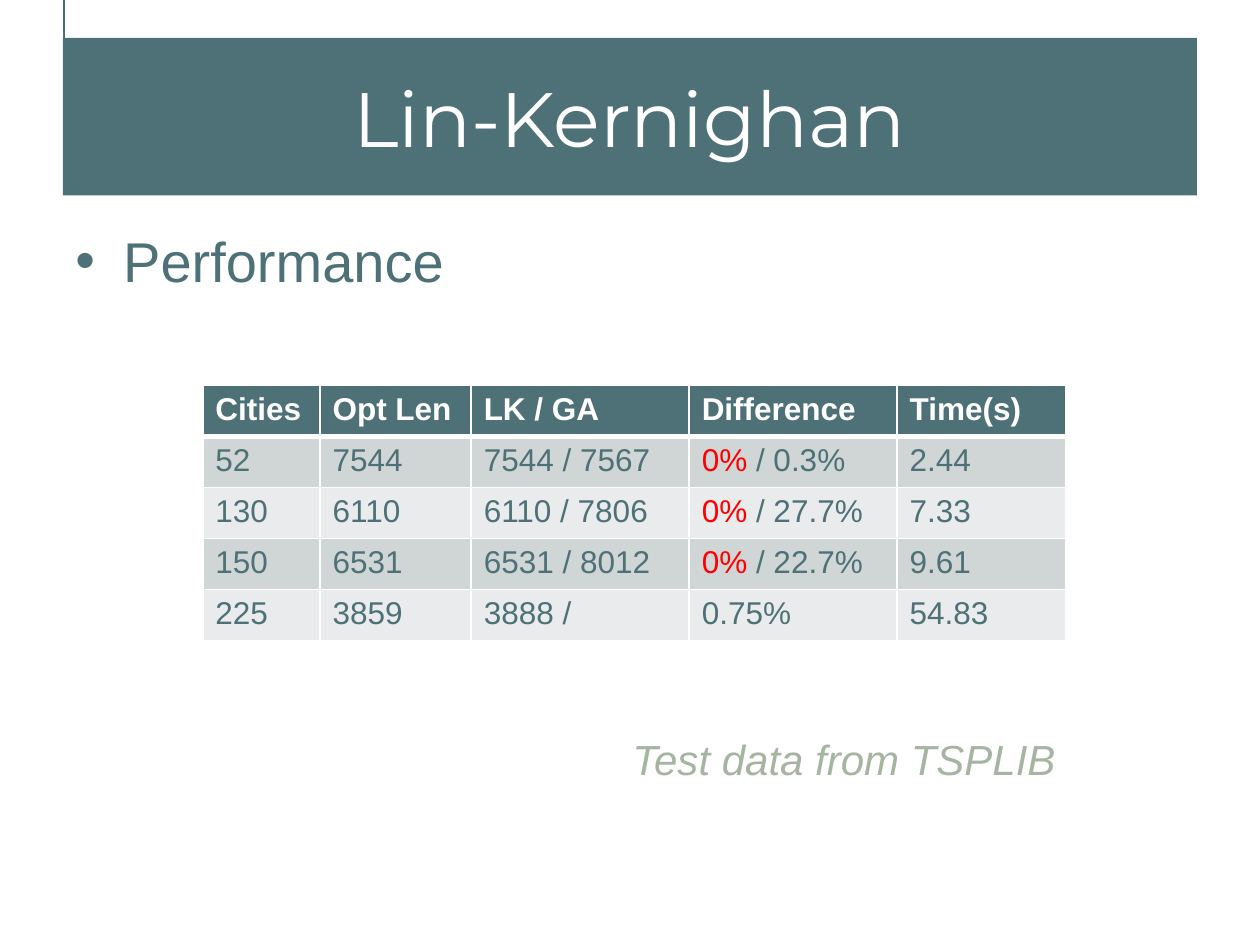
from lxml.etree import SubElement
from pptx import Presentation
from pptx.dml.color import RGBColor
from pptx.enum.shapes import MSO_CONNECTOR, MSO_SHAPE
from pptx.enum.text import MSO_ANCHOR, PP_ALIGN
from pptx.oxml.ns import qn
from pptx.util import Inches, Pt

TEAL = RGBColor(0x4E, 0x71, 0x78)
WHITE = RGBColor(0xFF, 0xFF, 0xFF)
RED = RGBColor(0xFF, 0x00, 0x00)
SAGE = RGBColor(0xA6, 0xB5, 0xA1)
BANDS = [RGBColor(0xD0, 0xD5, 0xD6), RGBColor(0xE9, 0xEB, 0xEC)]

TITLE = "Lin-Kernighan"
BULLET = "Performance"
SOURCE_NOTE = "Test data from TSPLIB"
HEADER = ["Cities", "Opt Len", "LK / GA", "Difference", "Time(s)"]
RESULTS = [
    ["52", "7544", "7544 / 7567", ("0% ", "/ 0.3%"), "2.44"],
    ["130", "6110", "6110 / 7806", ("0% ", "/ 27.7%"), "7.33"],
    ["150", "6531", "6531 / 8012", ("0% ", "/ 22.7%"), "9.61"],
    ["225", "3859", "3888 /", "0.75%", "54.83"],
]
COLUMN_WIDTHS = [0.93, 1.2, 1.73, 1.65, 1.34]
ROW_HEIGHT = 0.405


def add_text(paragraph, text, size=18, color=TEAL, font="Arial", bold=False, italic=False):
    run = paragraph.add_run()
    run.text = text
    run.font.name = font
    run.font.size = Pt(size)
    run.font.color.rgb = color
    run.font.bold = bold
    run.font.italic = italic


def add_text_box(slide, left, top, width, height):
    frame = slide.shapes.add_textbox(
        Inches(left), Inches(top), Inches(width), Inches(height)
    ).text_frame
    frame.word_wrap = True
    return frame.paragraphs[0]


def add_bullet(paragraph, indent):
    properties = paragraph._p.get_or_add_pPr()
    properties.set("marL", str(Inches(indent)))
    properties.set("indent", str(-Inches(indent)))
    SubElement(properties, qn("a:buFont")).set("typeface", "Arial")
    SubElement(properties, qn("a:buChar")).set("char", "•")


def set_borders(cell, **widths):
    properties = cell._tc.get_or_add_tcPr()
    for side in ("L", "R", "T", "B"):
        line = SubElement(properties, qn(f"a:ln{side}"))
        line.set("w", str(Pt(widths.get(side, 1))))
        fill = SubElement(line, qn("a:solidFill"))
        SubElement(fill, qn("a:srgbClr")).set("val", str(WHITE))


def add_title(slide):
    banner = slide.shapes.add_shape(
        MSO_SHAPE.RECTANGLE, Inches(0.5), Inches(0.3), Inches(9), Inches(1.25)
    )
    banner.shadow.inherit = False
    banner.fill.solid()
    banner.fill.fore_color.rgb = TEAL
    banner.line.fill.background()
    banner.text_frame.word_wrap = True
    banner.text_frame.vertical_anchor = MSO_ANCHOR.MIDDLE
    paragraph = banner.text_frame.paragraphs[0]
    paragraph.alignment = PP_ALIGN.CENTER
    add_text(paragraph, TITLE, size=44, color=WHITE, font="Montserrat")


def add_corner_line(slide):
    line = slide.shapes.add_connector(
        MSO_CONNECTOR.STRAIGHT, Inches(0.51), Inches(0.31), Inches(0.51), Inches(0)
    )
    line.line.color.rgb = TEAL
    line.line.width = Pt(1.2)
    SubElement(line._element.spPr, qn("a:effectLst"))


def add_results_table(slide):
    rows = [HEADER] + RESULTS
    table = slide.shapes.add_table(
        len(rows), len(HEADER), Inches(1.61), Inches(3.06),
        Inches(sum(COLUMN_WIDTHS)), Inches(ROW_HEIGHT * len(rows)),
    ).table
    for column, width in zip(table.columns, COLUMN_WIDTHS):
        column.width = Inches(width)
    for row_index, row in enumerate(rows):
        table.rows[row_index].height = Inches(ROW_HEIGHT)
        is_header = row_index == 0
        for column_index, content in enumerate(row):
            cell = table.cell(row_index, column_index)
            set_borders(cell, B=3 if is_header else 1, T=3 if row_index == 1 else 1)
            cell.fill.solid()
            cell.fill.fore_color.rgb = TEAL if is_header else BANDS[(row_index - 1) % 2]
            paragraph = cell.text_frame.paragraphs[0]
            if isinstance(content, tuple):
                highlight, content = content
                add_text(paragraph, highlight, color=RED)
            add_text(paragraph, content, color=WHITE if is_header else TEAL, bold=is_header)


def main():
    presentation = Presentation()
    presentation.slide_width = Inches(10)
    presentation.slide_height = Inches(7.5)
    slide = presentation.slides.add_slide(presentation.slide_layouts[6])

    add_title(slide)
    performance = add_text_box(slide, 0.5, 1.75, 9, 4.95)
    performance.space_before = Pt(3)
    add_bullet(performance, 0.38)
    add_text(performance, BULLET, size=32)
    add_corner_line(slide)
    add_results_table(slide)
    note = add_text_box(slide, 4.92, 5.77, 3.62, 0.5)
    add_text(note, SOURCE_NOTE, size=24, color=SAGE, italic=True)

    presentation.save("out.pptx")


if __name__ == "__main__":
    main()
